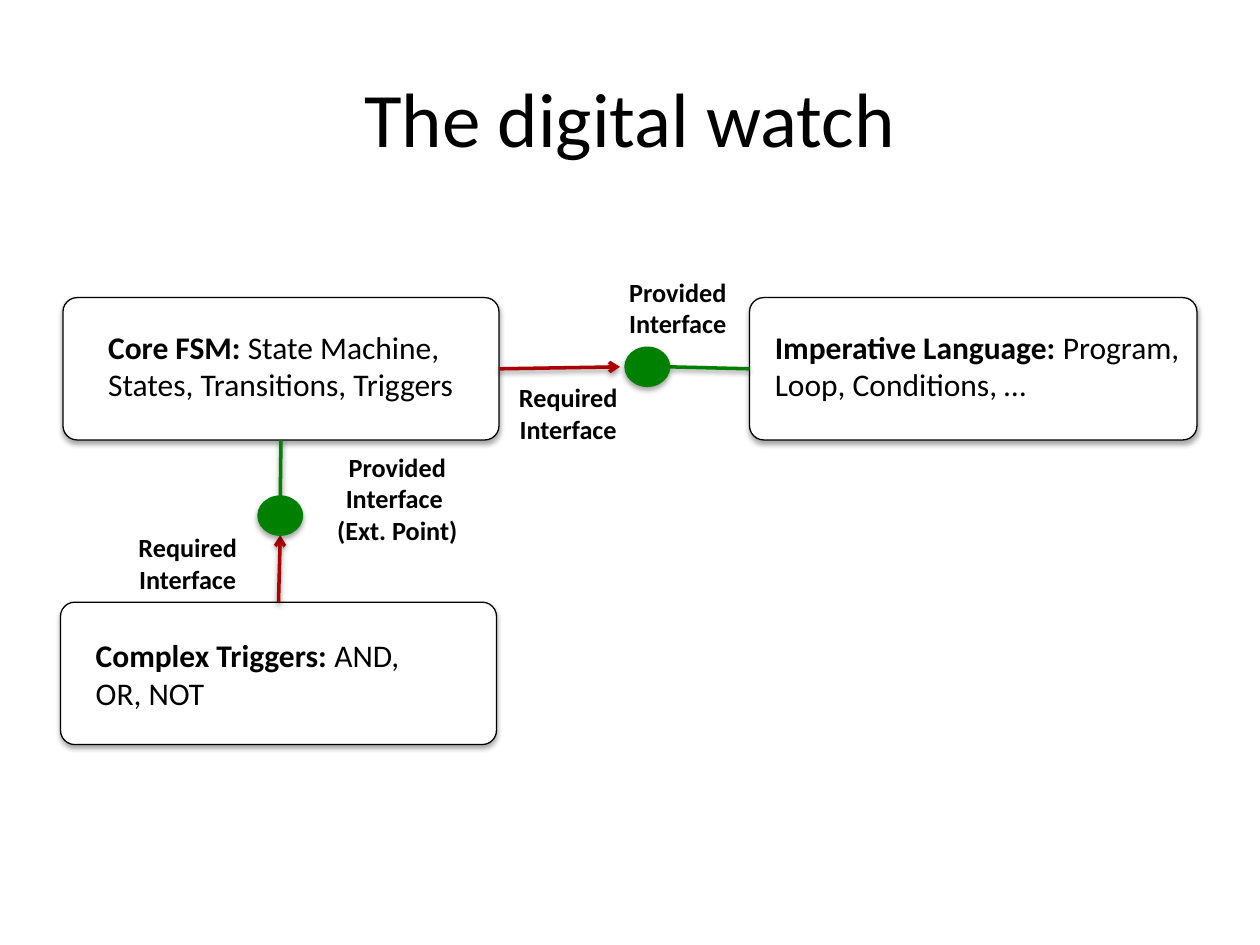
from dataclasses import dataclass

from lxml.etree import SubElement
from pptx import Presentation
from pptx.dml.color import RGBColor
from pptx.enum.shapes import MSO_CONNECTOR, MSO_SHAPE
from pptx.enum.text import MSO_ANCHOR, MSO_AUTO_SIZE, PP_ALIGN
from pptx.oxml.ns import qn
from pptx.util import Cm, Pt


@dataclass(frozen=True)
class Theme:
    font: str = "Calibri"
    ink: str = "000000"
    paper: str = "FFFFFF"
    provided: str = "008000"
    required: str = "AD0101"
    title_size: float = 44
    body_size: float = 18
    label_size: float = 15
    outline: float = 0.75
    link: float = 2


THEME = Theme()

TITLE = "The digital watch"
TITLE_AREA = (1.27, 0.76, 22.86, 3.18)

COMPONENTS = {
    "core": (1.27, 6, 8.79, 2.87),
    "imperative": (15.11, 6, 9.02, 2.87),
    "triggers": (1.22, 12.14, 8.79, 2.87),
}
PORTS = {
    "language": (12.6, 7, 0.9, 0.79),
    "extension": (5.2, 10, 0.9, 0.79),
}
LINKS = [
    ("core", "right", "language", "left", "required", 0.1),
    ("imperative", "left", "language", "right", "provided", 0),
    ("core", "bottom", "extension", "top", "provided", 0),
    ("triggers", "top", "extension", "bottom", "required", 0),
]
DESCRIPTIONS = [
    ([[("Core FSM: ", True), ("State Machine, States, Transitions, Triggers", False)]],
     (1.93, 6.48, 7.65, 1.8)),
    ([[("Imperative Language: ", True), ("Program, Loop, Conditions, …", False)]],
     (15.37, 6.48, 8.76, 1.8)),
    ([[("Complex Triggers: ", True), ("AND,", False)], [("OR, NOT", False)]],
     (1.68, 12.7, 8.1, 1.8)),
]
LABELS = [
    (["Required", "Interface"], (9.88, 7.57, 3.15, 1.55)),
    (["Provided", "Interface"], (12.09, 5.44, 3.15, 1.55)),
    (["Required", "Interface"], (2.21, 10.59, 3.15, 1.55)),
    (["Provided", "Interface ", "(Ext. Point)"], (5.84, 8.97, 4.34, 2.18)),
]
SIDES = {"left": (0, 0.5), "right": (1, 0.5), "top": (0.5, 0), "bottom": (0.5, 1)}


def lengths(area):
    return [Cm(value) for value in area]


def write(frame, paragraphs, *, size, align=PP_ALIGN.LEFT, color=THEME.ink):
    frame.word_wrap = True
    for index, pieces in enumerate(paragraphs):
        paragraph = frame.add_paragraph() if index else frame.paragraphs[0]
        paragraph.alignment = align
        for words, bold in pieces:
            run = paragraph.add_run()
            run.text = words
            run.font.name = THEME.font
            run.font.size = Pt(size)
            run.font.bold = bold
            run.font.color.rgb = RGBColor.from_string(color)


def add_text(slide, paragraphs, area, **style):
    frame = slide.shapes.add_textbox(*lengths(area)).text_frame
    write(frame, paragraphs, **style)
    frame.auto_size = MSO_AUTO_SIZE.SHAPE_TO_FIT_TEXT


def cast_shadow(element, distance, opacity):
    effects = SubElement(element.spPr, qn("a:effectLst"))
    shadow = SubElement(effects, qn("a:outerShdw"), blurRad=str(Pt(3.1)),
                        dist=str(Pt(distance)), dir="5400000", rotWithShape="0")
    tint = SubElement(shadow, qn("a:srgbClr"), val=THEME.ink)
    SubElement(tint, qn("a:alpha"), val=str(opacity * 1000))


def add_node(slide, kind, area, fill, line):
    node = slide.shapes.add_shape(kind, *lengths(area))
    node.fill.solid()
    node.fill.fore_color.rgb = RGBColor.from_string(fill)
    node.line.color.rgb = RGBColor.from_string(line)
    node.line.width = Pt(THEME.outline)
    cast_shadow(node._element, 1.8, 35)
    return node


def side_point(area, side, gap=0):
    left, top, width, height = area
    across, down = SIDES[side]
    return (Cm(left + width * across + gap * (2 * across - 1)),
            Cm(top + height * down + gap * (2 * down - 1)))


def add_link(slide, component, component_side, port, port_side, role, gap):
    start = side_point(COMPONENTS[component], component_side)
    end = side_point(PORTS[port], port_side, gap)
    link = slide.shapes.add_connector(MSO_CONNECTOR.STRAIGHT, *start, *end)
    link.line.color.rgb = RGBColor.from_string(getattr(THEME, role))
    link.line.width = Pt(THEME.link)
    if role == "required":
        SubElement(link.line._get_or_add_ln(), qn("a:tailEnd"), type="arrow")
    cast_shadow(link._element, 1.6, 38)


def main():
    deck = Presentation()
    deck.slide_width, deck.slide_height = Cm(25.4), Cm(19.05)
    slide = deck.slides.add_slide(deck.slide_layouts[5])

    title = slide.shapes.title
    title.left, title.top, title.width, title.height = lengths(TITLE_AREA)
    title.text_frame.vertical_anchor = MSO_ANCHOR.MIDDLE
    write(title.text_frame, [[(TITLE, False)]],
          size=THEME.title_size, align=PP_ALIGN.CENTER)

    for area in COMPONENTS.values():
        box = add_node(slide, MSO_SHAPE.ROUNDED_RECTANGLE, area, THEME.paper, THEME.ink)
        box.adjustments[0] = 0.1
    for link in LINKS:
        add_link(slide, *link)
    for area in PORTS.values():
        add_node(slide, MSO_SHAPE.OVAL, area, THEME.provided, THEME.provided)
    for paragraphs, area in DESCRIPTIONS:
        add_text(slide, paragraphs, area, size=THEME.body_size)
    for lines, area in LABELS:
        add_text(slide, [[(line, True)] for line in lines], area,
                 size=THEME.label_size, align=PP_ALIGN.CENTER)

    deck.save("out.pptx")


if __name__ == "__main__":
    main()
